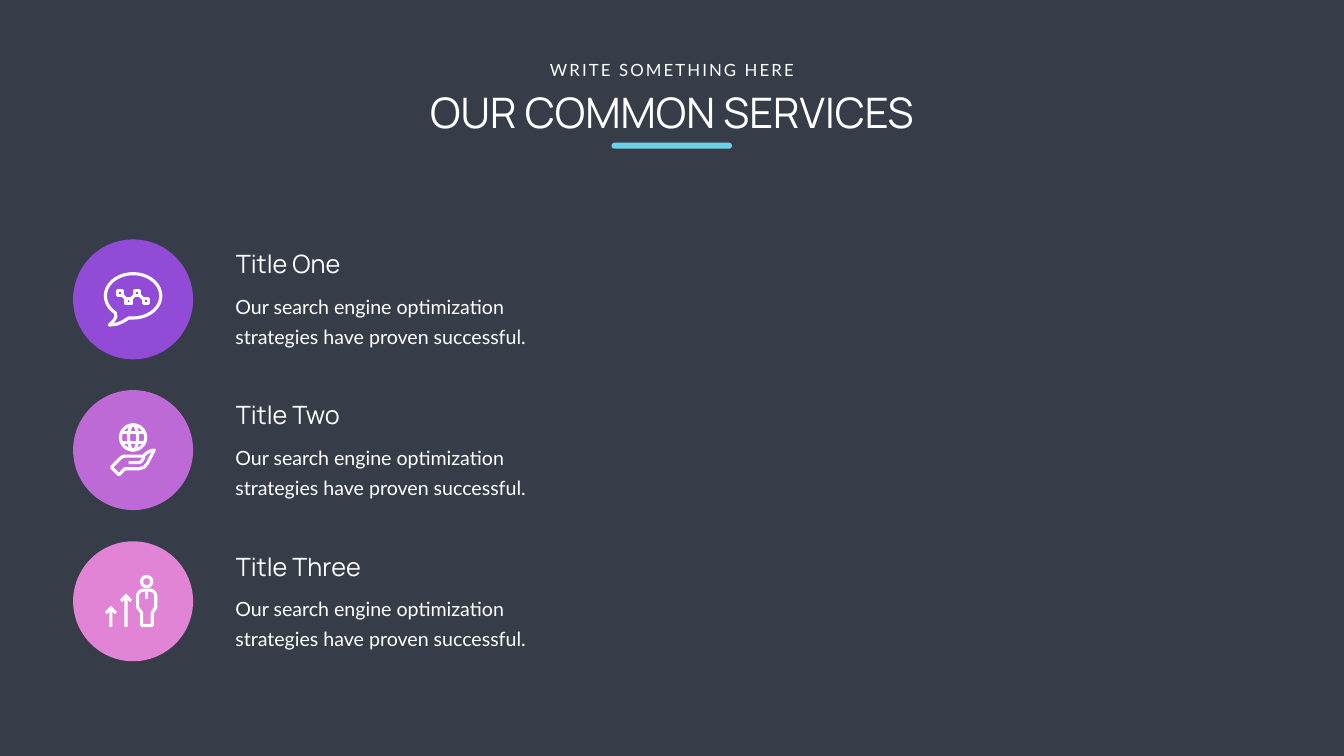
"""Build the common services slide with three icon rows."""
from math import cos, radians, sin

from pptx import Presentation
from pptx.dml.color import RGBColor
from pptx.enum.shapes import MSO_SHAPE
from pptx.enum.text import MSO_AUTO_SIZE, PP_ALIGN
from pptx.util import Inches, Pt

COLORS = {
    "background": "363D48",
    "white": "FFFFFF",
    "accent": "6CD1E5",
    "violet": "914BD7",
    "orchid": "BD6AD7",
    "pink": "E184D6",
}
DESCRIPTION = "Our search engine optimization strategies have proven successful."

deck = Presentation()
deck.slide_width, deck.slide_height = Inches(26.66), Inches(15)
page = deck.slides.add_slide(deck.slide_layouts[6])
page.background.fill.solid()
page.background.fill.fore_color.rgb = RGBColor.from_string(COLORS["background"])
white = RGBColor.from_string(COLORS["white"])


def add_text(text, bounds, size, font, wrap=True, align=PP_ALIGN.LEFT):
    box = page.shapes.add_textbox(*map(Inches, bounds))
    frame = box.text_frame
    frame.text = text
    frame.word_wrap = wrap
    frame.auto_size = MSO_AUTO_SIZE.SHAPE_TO_FIT_TEXT
    para = frame.paragraphs[0]
    para.alignment = align
    span = para.runs[0]
    span.font.size, span.font.name = Pt(size), font
    span.font.color.rgb = white
    return frame


def arc(center_x, center_y, radius_x, radius_y, start=0, end=360):
    angles = [radians(angle) for angle in range(start, end + 1, 10)]
    return [(center_x + radius_x * cos(a), center_y + radius_y * sin(a)) for a in angles]


add_text("OUR COMMON SERVICES", (5.3, 1.67, 16.06, 1.11), 60, "Manrope", align=PP_ALIGN.CENTER)
kicker = add_text("WRITE SOMETHING HERE", (10.76, 1.13, 5.14, 0.5), 24, "Lato", False, PP_ALIGN.CENTER)
kicker.paragraphs[0].runs[0].font._element.set("spc", "300")

underline = page.shapes.add_shape(
    MSO_SHAPE.ROUNDED_RECTANGLE, Inches(12.13), Inches(2.83), Inches(2.39), Inches(0.12)
)
underline.adjustments[0] = 0.5
underline.shadow.inherit = False
underline.fill.solid()
underline.fill.fore_color.rgb = RGBColor.from_string(COLORS["accent"])
underline.line.fill.background()

services = [
    ("Title One", "violet", 4.75, 4.88, 2.42),
    ("Title Two", "orchid", 7.74, 7.88, 2.41),
    ("Title Three", "pink", 10.74, 10.88, 2.81),
]
for title, color, top, title_top, title_width in services:
    circle = page.shapes.add_shape(
        MSO_SHAPE.OVAL, Inches(1.45), Inches(top), Inches(2.38), Inches(2.38)
    )
    circle.shadow.inherit = False
    circle.fill.solid()
    circle.fill.fore_color.rgb = RGBColor.from_string(COLORS[color])
    circle.line.fill.background()
    add_text(title, (4.58, title_top, title_width, 0.71), 36, "Manrope", False)
    body = add_text(DESCRIPTION, (4.43, top + 0.85, 6.33, 1.39), 28, "Lato")
    body.margin_left = body.margin_right = Inches(0.24)
    body.margin_top = body.margin_bottom = Inches(0.12)
    body.paragraphs[0].line_spacing = Pt(43)

bubble = arc(2.64, 5.87, 0.55, 0.44, 130, 450) + [
    (2.55, 6.31), (2.44, 6.38), (2.32, 6.43), (2.17, 6.45),
    (2.25, 6.37), (2.3, 6.29), (2.29, 6.22),
]
bubble.append(bubble[0])

nodes = [(2.38, 5.81), (2.55, 5.98), (2.72, 5.81), (2.89, 5.98)]
corner_signs = [(-1, -1), (1, -1), (1, 1), (-1, 1), (-1, -1)]
wave = [[(x + 0.05 * across, y + 0.05 * down) for across, down in corner_signs] for x, y in nodes]
for (x1, y1), (x2, y2) in zip(nodes, nodes[1:]):
    rise = 0.05 if y2 > y1 else -0.05
    wave.append([(x1 + 0.05, y1 + rise), (x2 - 0.05, y2 - rise)])

hand = [
    (2.21, 9.27), (2.39, 9.09), (2.43, 9.06), (2.48, 9.05), (2.84, 9.05),
    (2.92, 8.98), (2.99, 8.94), (3.06, 8.93), (2.92, 9.2), (2.86, 9.27),
    (2.76, 9.3), (2.48, 9.3), (2.36, 9.42), (2.21, 9.27),
]
finger = [(2.55, 9.18), (2.76, 9.18), (2.81, 9.15), (2.86, 9.06)]
globe = [arc(2.64, 8.68, 0.25, 0.25), arc(2.64, 8.68, 0.09, 0.25)]
globe += [[(2.41, y), (2.87, y)] for y in (8.59, 8.78)]

shoulders = arc(2.85, 11.83, 0.12, 0.12, 180, 270) + arc(2.97, 11.83, 0.12, 0.12, 270, 360)
torso = shoulders + [
    (3.09, 12.05), (3.02, 12.16), (3.02, 12.41), (2.81, 12.41), (2.81, 12.16),
    (2.73, 12.05), shoulders[0],
]
tie = [(2.91, 11.72), (2.91, 11.89)]
head = arc(2.91, 11.54, 0.1, 0.1)

outlines = [[bubble], wave, [hand, finger], globe, [torso, tie], [head]]
arrows = []
for x, y in ((2.5, 11.78), (2.2, 12.02)):
    right = [(x + 0.12, y + 0.12), (x + 0.08, y + 0.17), (x + 0.03, y + 0.12), (x + 0.03, 12.44)]
    left = [(2 * x - right_x, right_y) for right_x, right_y in reversed(right)]
    arrows.append([[(x, y)] + right + left + [(x, y)]])

for icons, filled in ((outlines, False), (arrows, True)):
    for contours in icons:
        scaled = [[(Inches(x), Inches(y)) for x, y in contour] for contour in contours]
        builder = page.shapes.build_freeform(*scaled[0][0])
        builder.add_line_segments(scaled[0][1:], close=False)
        for contour in scaled[1:]:
            builder.move_to(*contour[0])
            builder.add_line_segments(contour[1:], close=False)
        icon = builder.convert_to_shape()
        icon.shadow.inherit = False
        if filled:
            icon.fill.solid()
            icon.fill.fore_color.rgb = white
            icon.line.fill.background()
        else:
            icon.fill.background()
            icon.line.color.rgb = white
            icon.line.width = Pt(4.5)

deck.save("out.pptx")
